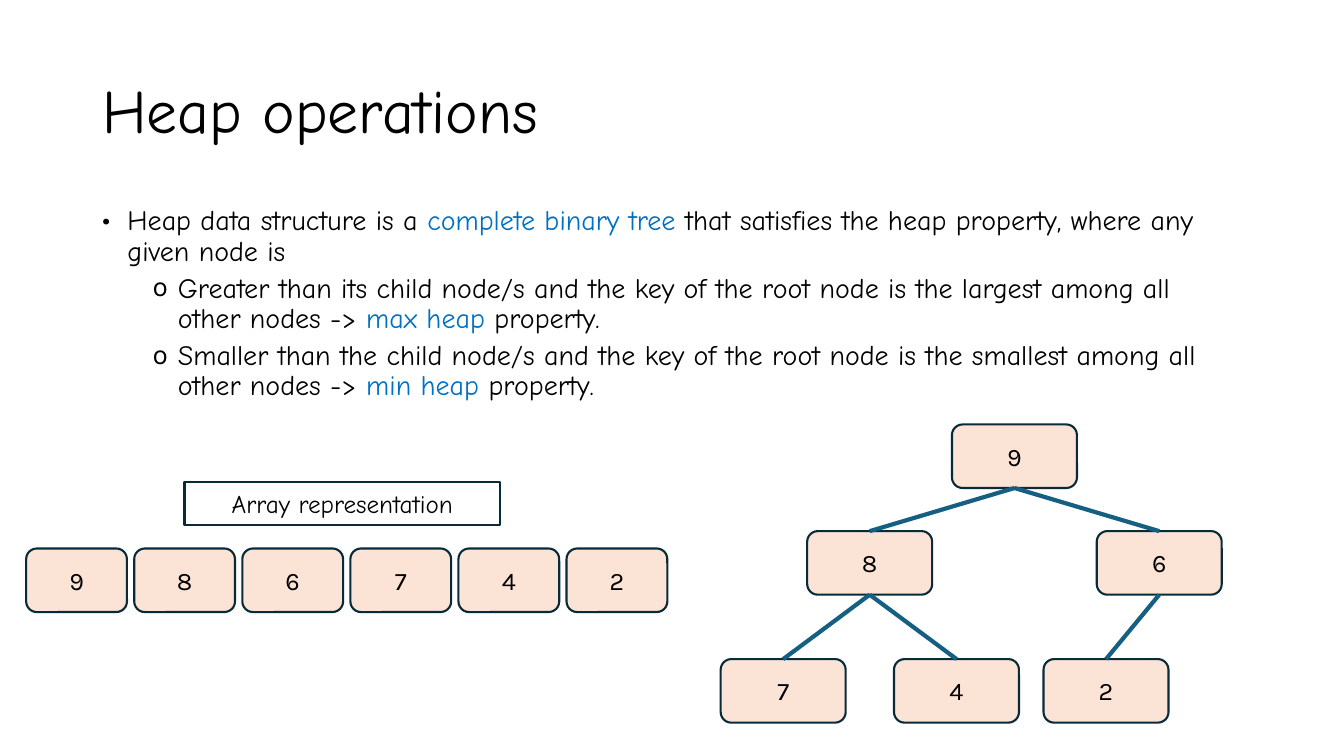
from dataclasses import dataclass

from lxml import etree
from pptx import Presentation
from pptx import util as u
from pptx.dml.color import RGBColor
from pptx.enum import shapes, text
from pptx.oxml import ns

Pt = u.Pt
BLACK = RGBColor(0x00, 0x00, 0x00)
BLUE = RGBColor(0x00, 0x70, 0xC0)
PEACH = RGBColor(0xFB, 0xE3, 0xD6)
NAVY = RGBColor(0x09, 0x2A, 0x39)
TEAL = RGBColor(0x15, 0x60, 0x82)
HAND = "Comic Neue"
SANS = "Karla"
NODE_W, CELL_W, BOX_H = 89.3, 72, 45.4
ARRAY_LEFT, ARRAY_TOP, ARRAY_PITCH = 18.7, 391.8, 77.2


@dataclass(frozen=True)
class Node:
    key: str
    left: float
    top: float


@dataclass(frozen=True)
class Bullet:
    mark: str
    level: int
    before: float
    lead: str
    term: str
    tail: str


HEAP = [
    Node("9", 680, 303.2),
    Node("8", 576.6, 379.4),
    Node("6", 783.4, 379.4),
    Node("7", 514.8, 470.8),
    Node("4", 638.6, 470.8),
    Node("2", 745.4, 470.8),
]

BULLETS = [
    Bullet("•", 0, 10, "Heap data structure is a ", "complete binary tree ",
           "that satisfies the heap property, where any given node is"),
    Bullet("o", 1, 5, "Greater than its child node/s and the key of the root node "
           "is the largest among all other nodes -> ", "max heap ", "property."),
    Bullet("o", 1, 5, "Smaller than the child node/s and the key of the root node "
           "is the smallest among all other nodes -> ", "min heap ", "property."),
]


def add_run(p, content: str, *, size: float, font: str = HAND,
            color: RGBColor = BLACK) -> None:
    r = p.add_run()
    r.text = content
    r.font.size = Pt(size)
    r.font.name = font
    r.font.color.rgb = color


def add_box(s, kind, content: str, left: float, top: float, width: float,
            height: float, *, font: str, fill: RGBColor | None = None):
    sp = s.shapes.add_shape(kind, Pt(left), Pt(top), Pt(width), Pt(height))
    sp.shadow.inherit = False
    if fill is None:
        sp.fill.background()
    else:
        sp.fill.solid()
        sp.fill.fore_color.rgb = fill
    sp.line.color.rgb = NAVY
    sp.line.width = Pt(1.5)
    tf = sp.text_frame
    tf.vertical_anchor = text.MSO_ANCHOR.MIDDLE
    p = tf.paragraphs[0]
    p.alignment = text.PP_ALIGN.CENTER
    add_run(p, content, size=18, font=font)
    return sp


def add_key(s, key: str, left: float, top: float, width: float):
    return add_box(s, shapes.MSO_SHAPE.ROUNDED_RECTANGLE, key, left, top,
                   width, BOX_H, font=SANS, fill=PEACH)


def add_edge(s, child, parent) -> None:
    line = s.shapes.add_connector(shapes.MSO_CONNECTOR.STRAIGHT, 0, 0, 0, 0)
    line.begin_connect(child, 0)
    line.end_connect(parent, 2)
    line.line.color.rgb = TEAL
    line.line.width = Pt(3)
    etree.SubElement(line._element.spPr, ns.qn("a:effectLst"))


def add_text_frame(s, left: float, top: float, width: float, height: float):
    tf = s.shapes.add_textbox(Pt(left), Pt(top), Pt(width), Pt(height)).text_frame
    tf.word_wrap = True
    return tf


def add_bullet(p, item: Bullet) -> None:
    p.level = item.level
    p.line_spacing = 0.9
    p.space_before = Pt(item.before)
    pPr = p._p.get_or_add_pPr()
    pPr.set("marL", str(Pt(18 + 36 * item.level)))
    pPr.set("indent", str(Pt(-18)))
    etree.SubElement(pPr, ns.qn("a:buFont"), typeface=SANS)
    etree.SubElement(pPr, ns.qn("a:buChar"), char=item.mark)
    add_run(p, item.lead, size=20)
    add_run(p, item.term, size=20, color=BLUE)
    add_run(p, item.tail, size=20)


def main() -> None:
    prs = Presentation()
    prs.slide_width, prs.slide_height = Pt(960), Pt(540)
    s = prs.slides.add_slide(prs.slide_layouts[6])

    tf = add_text_frame(s, 66, 28.8, 828, 104.4)
    tf.vertical_anchor = text.MSO_ANCHOR.MIDDLE
    p = tf.paragraphs[0]
    p.line_spacing = 0.9
    add_run(p, "Heap operations", size=44)

    tf = add_text_frame(s, 66, 144, 828, 150.5)
    for i, item in enumerate(BULLETS):
        add_bullet(tf.add_paragraph() if i else tf.paragraphs[0], item)

    nodes = [add_key(s, n.key, n.left, n.top, NODE_W) for n in HEAP]
    for i, child in enumerate(nodes[1:], start=1):
        add_edge(s, child, nodes[(i - 1) // 2])

    for i, n in enumerate(HEAP):
        add_key(s, n.key, ARRAY_LEFT + i * ARRAY_PITCH, ARRAY_TOP, CELL_W)
    add_box(s, shapes.MSO_SHAPE.RECTANGLE, "Array representation",
            131.8, 344.2, 225.4, 31, font=HAND)

    prs.save("out.pptx")


if __name__ == "__main__":
    main()
